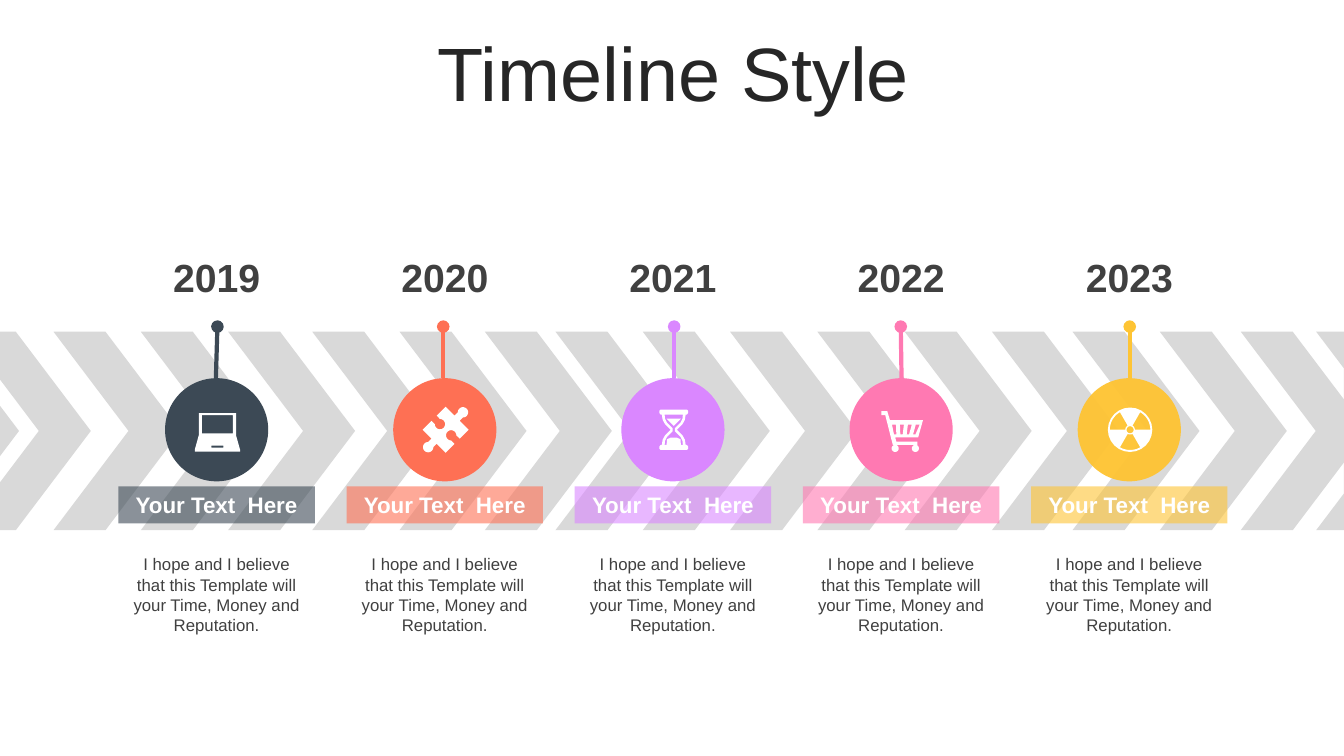
"""Build a five-year timeline slide on a band of chevrons."""
from math import cos, radians, sin
from lxml.etree import SubElement as Sub
from pptx import Presentation
from pptx.dml.color import RGBColor as Rgb
from pptx.enum.shapes import MSO_CONNECTOR as Link, MSO_SHAPE as Kind
from pptx.enum.text import MSO_ANCHOR as Anchor, MSO_AUTO_SIZE as Fit, PP_ALIGN as Align
from pptx.oxml.ns import qn
from pptx.util import Cm, Pt

TITLE = "Timeline Style"
LABEL = "Your Text  Here"
BODY = "I hope and I believe that this Template will your Time, Money and Reputation."
GREY, DARK, WHITE = "D9D9D9", "404040", "FFFFFF"
STEPS = [
    {"year": "2019", "tint": "3C4955", "head": 0.02, "foot": -0.02, "icon": "laptop"},
    {"year": "2020", "tint": "FE7054", "head": -0.04, "foot": -0.04, "icon": "puzzle"},
    {"year": "2021", "tint": "DA87FF", "head": 0.03, "foot": 0.03, "icon": "glass"},
    {"year": "2022", "tint": "FF79B2", "head": -0.01, "foot": 0.01, "icon": "cart"},
    {"year": "2023", "tint": "FEC434", "head": 0.01, "foot": 0.01, "icon": "atom",
     "alpha": 96},
]
RUNS = [(1.35, 3), (7.87, 2), (12.22, 1), (14, 6), (27.03, 2)]

WIDTH, HEIGHT = 33.87, 19.05
FIRST, PITCH, WIDE = 5.46, 5.75, 4.95
DISC, DISC_TOP = 2.6, 9.53
BAND_TOP, BAND, ARROW, STEP, DEPTH = 8.36, 5, 3.2, 2.2, 1.89
CUTS = [(-2.72, 0, 1), (-0.91, 0, 1), (31.27, WIDTH, -1), (33.17, WIDTH, -1)]


def box(x, y, w, h):
    return [(x, y), (x + w, y), (x + w, y + h), (x, y + h)]


def arc(x, y, r, start=0, sweep=360, parts=24):
    turns = [radians(start + sweep * i / parts) for i in range(parts + 1)]
    return [(x + r * cos(t), y + r * sin(t)) for t in turns]


def spin(dots, angle):
    c, s = cos(radians(angle)), sin(radians(angle))
    return [(x * c - y * s, x * s + y * c) for x, y in dots]


def mirror(half):
    return half + [(-x, y) for x, y in reversed(half)]


def quad(corner):
    return mirror(corner + [(x, -y) for x, y in reversed(corner)])


def laptop():
    case = mirror([(0.47, -0.42), (0.47, 0.14), (0.57, 0.5), (0.57, 0.55)])
    screen = box(-0.39, -0.37, 0.78, 0.46)
    pad = box(-0.15, 0.4, 0.3, 0.05)
    return [case, screen, pad]


def puzzle():
    half, reach, r = 0.41, 0.21, 0.13
    neck = r * cos(radians(45))
    rim = []
    for i, out in enumerate((1, -1, 1, -1)):
        bump = [(x, out * y - half) for x, y in arc(0, -reach, r, 135, 270)]
        side = [(-half, -half), (-neck, -half)] + bump + [(neck, -half)]
        rim += spin(side, 45 + 90 * i)
    return [rim]


def glass():
    cap = [(0.33, -0.51), (0.36, -0.48), (0.36, -0.42), (0.33, -0.38)]
    frame = quad(cap + [(0.3, -0.38), (0.28, -0.25), (0.22, -0.14), (0.08, 0)])
    hollow = quad([(0.23, -0.38), (0.22, -0.28), (0.17, -0.18), (0.03, -0.04)])
    sand = [(-0.18, -0.28), (0.18, -0.28), (0, -0.1)]
    heap = mirror([(0.08, 0.2), (0.17, 0.24), (0.18, 0.38)])
    return [frame, hollow, sand, heap]


def cart():
    handle = [(-0.52, -0.37), (-0.52, -0.47), (-0.37, -0.47), (-0.3, -0.24)]
    basket = [(0.53, -0.24), (0.41, 0.19), (-0.17, 0.19)]
    rail = [(-0.14, 0.3), (0.39, 0.3), (0.39, 0.38), (-0.23, 0.38), (-0.42, -0.37)]
    slots = []
    for i in range(4):
        top, low = 0.2 * i - 0.25, 0.16 * i - 0.2
        slots.append([(top, -0.13), (top + 0.1, -0.13), (low + 0.06, 0.12), (low, 0.12)])
    wheels = [arc(x, 0.47, 0.09) for x in (-0.17, 0.34)]
    return [handle + basket + rail] + slots + wheels


def atom():
    gaps = [arc(0, 0, 0.12, a, 60) + arc(0, 0, 0.51, a + 60, -60) for a in (60, 180, 300)]
    return [arc(0, 0, 0.56), arc(0, 0, 0.09)] + gaps


ICONS = {"laptop": laptop, "puzzle": puzzle, "glass": glass, "cart": cart, "atom": atom}


def chevron(x):
    mid, low = BAND_TOP + BAND / 2, BAND_TOP + BAND
    tip = x + ARROW
    return [(x, BAND_TOP), (tip - DEPTH, BAND_TOP), (tip, mid), (tip - DEPTH, low),
            (x, low), (x + DEPTH, mid)]


def clip(dots, wall, side):
    kept = []
    for (x, y), (u, v) in zip(dots, dots[1:] + dots[:1]):
        if side * (x - wall) >= 0:
            kept.append((x, y))
        if (x - wall) * (u - wall) < 0:
            kept.append((wall, y + (v - y) * (wall - x) / (u - x)))
    return kept


def plain(shape, tint, alpha=100):
    shape.shadow.inherit = False
    shape.fill.solid()
    shape.fill.fore_color.rgb = Rgb.from_string(tint)
    shape.line.fill.background()
    if alpha < 100:
        node = shape.element.spPr.find(qn("a:solidFill")).find(qn("a:srgbClr"))
        Sub(node, qn("a:alpha")).set("val", str(alpha * 1000))
    return shape


def add(kind, x, y, w, h, tint, alpha=100):
    return plain(shapes.add_shape(kind, Cm(x), Cm(y), Cm(w), Cm(h)), tint, alpha)


def draw(loops, tint, dx=0, dy=0):
    pen = None
    for loop in loops:
        dots = [(Cm(x + dx), Cm(y + dy)) for x, y in loop]
        if pen:
            pen.move_to(*dots[0])
        else:
            pen = shapes.build_freeform(*dots[0])
        pen.add_line_segments(dots[1:], close=True)
    plain(pen.convert_to_shape(), tint)


def write(shape, words, size, tint, bold=False):
    frame = shape.text_frame
    frame.word_wrap = True
    frame.auto_size = Fit.NONE
    para = frame.paragraphs[0]
    para.alignment = Align.CENTER
    run = para.add_run()
    run.text = words
    run.font.name, run.font.size, run.font.bold = "Arial", Pt(size), bold
    run.font.color.rgb = Rgb.from_string(tint)
    return para


def note(mid, y, w, h, *style):
    write(shapes.add_textbox(Cm(mid - w / 2), Cm(y), Cm(w), Cm(h)), *style)


def pin(head, foot, tint):
    line = shapes.add_connector(Link.STRAIGHT, Cm(head), Cm(8.23), Cm(foot), Cm(DISC_TOP))
    line.line.width = Pt(3)
    line.line.color.rgb = Rgb.from_string(tint)
    props = line.element.spPr
    Sub(props.find(qn("a:ln")), qn("a:headEnd")).set("type", "oval")
    Sub(props, qn("a:effectLst"))


deck = Presentation()
deck.slide_width, deck.slide_height = Cm(WIDTH), Cm(HEIGHT)
shapes = deck.slides.add_slide(deck.slide_layouts[5]).shapes

title = shapes.title
title.left, title.top, title.width, title.height = Cm(0.89), Cm(0.94), Cm(32.16), Cm(2.01)
write(title, TITLE, 54, "262626").line_spacing = 0.9
title.text_frame.vertical_anchor = Anchor.MIDDLE

for start, count in RUNS:
    for i in range(count):
        arrow = add(Kind.CHEVRON, start + STEP * i, BAND_TOP, ARROW, BAND, GREY)
        arrow.adjustments[0] = DEPTH / ARROW
for left, wall, side in CUTS:
    draw([clip(chevron(left), wall, side)], GREY)

for i, step in enumerate(STEPS):
    mid, tint = FIRST + PITCH * i, step["tint"]
    add(Kind.OVAL, mid - DISC / 2, DISC_TOP, DISC, DISC, tint, step.get("alpha", 100))
    pin(mid + step["head"], mid + step["foot"], tint)
    label = add(Kind.RECTANGLE, mid - WIDE / 2, 12.26, WIDE, 0.93, tint, 60)
    write(label, LABEL, 16, WHITE, True)
    note(mid, 13.84, WIDE, 2.31, BODY, 12, DARK)
    draw(ICONS[step["icon"]](), WHITE, mid + 0.02, DISC_TOP + DISC / 2)
    note(mid, 6.27, 3.96, 1.45, step["year"], 28, DARK, True)

deck.save("out.pptx")
